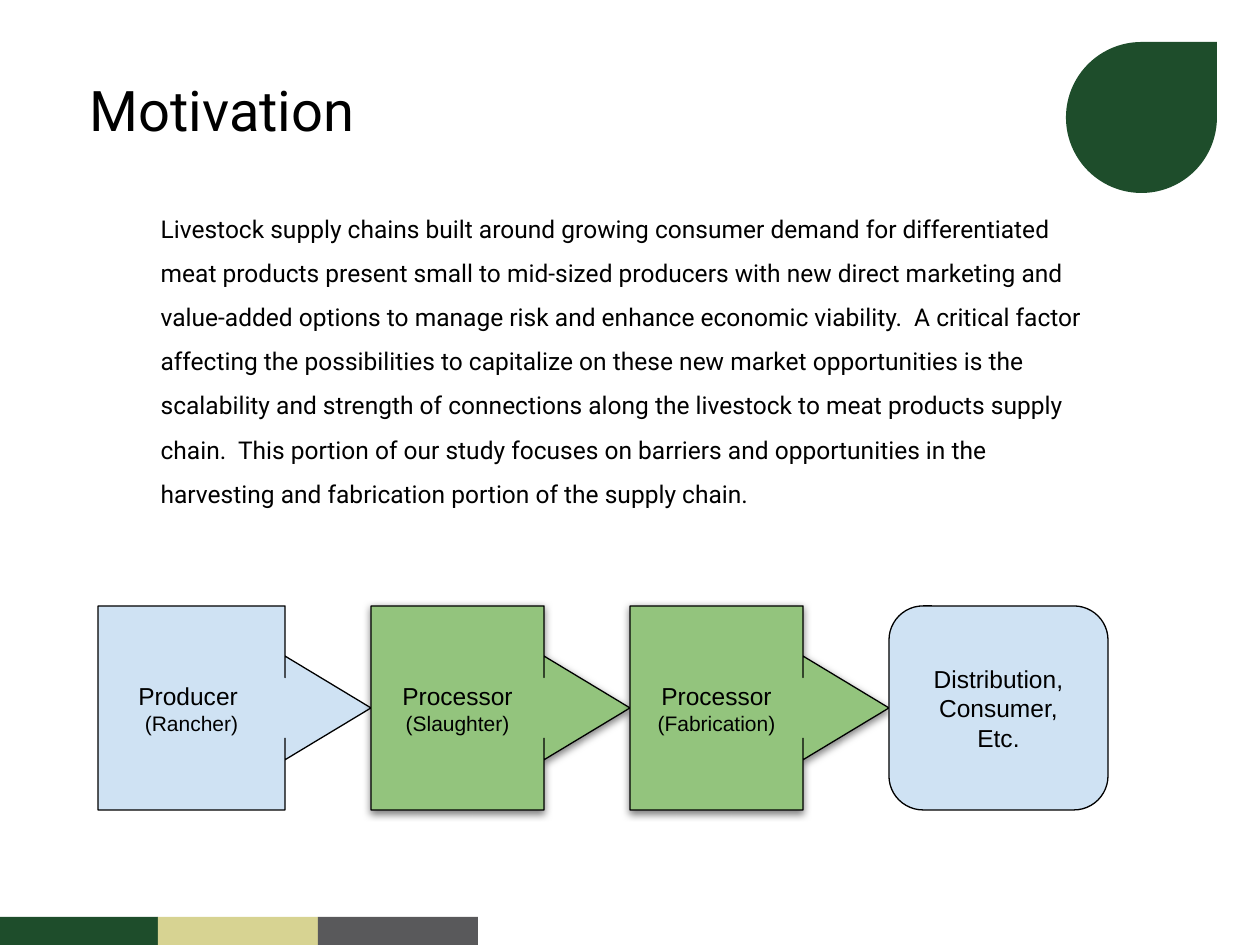
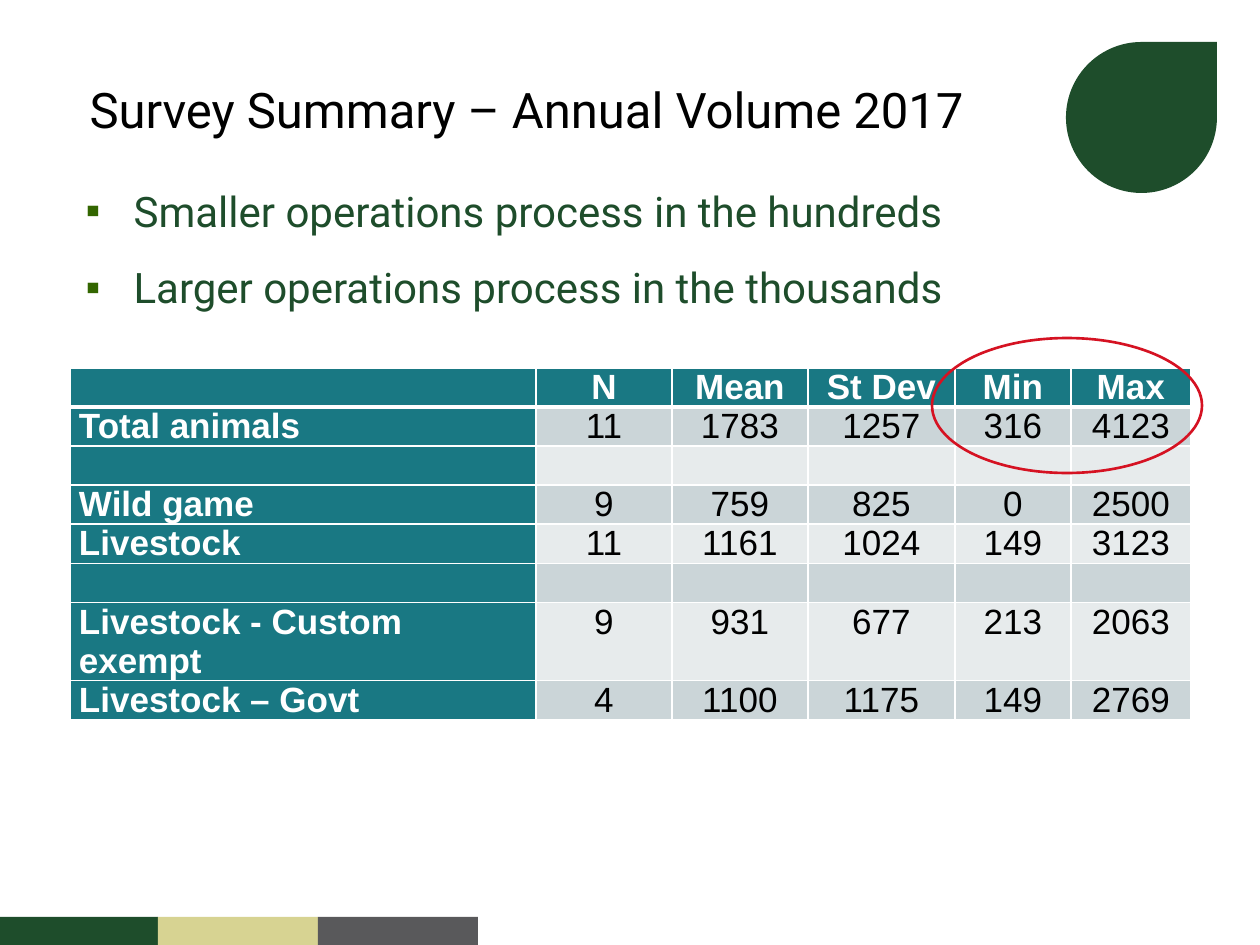
"""Builds two slides on livestock supply chains: motivation and survey volume."""
from dataclasses import dataclass
from lxml.etree import SubElement as Sub
from pptx import Presentation
from pptx.dml.color import RGBColor as RGB
from pptx.enum.shapes import MSO_SHAPE as Kind
from pptx.enum.text import MSO_ANCHOR as Anchor, MSO_AUTO_SIZE as Fit, PP_ALIGN as Align
from pptx.oxml.ns import qn
from pptx.util import Pt

PX = 7257


@dataclass(frozen=True)
class Theme:
    green: str = "1E4D2B"
    sand: str = "D7D392"
    gray: str = "59595B"
    leaf: str = "93C47D"
    sky: str = "CFE2F3"
    teal: str = "197883"
    dark: str = "CBD5D8"
    light: str = "E7EBEC"
    red: str = "D51222"
    mark: str = "336600"
    black: str = "000000"
    white: str = "FFFFFF"
    head: str = "Roboto"
    text: str = "Arial"
    big: int = 32
    title: int = 28
    list: int = 24
    cell: int = 20
    body: int = 14
    note: int = 12


T = Theme()


def write(par, text, name, size, color, bold=False, **form):
    run = par.add_run()
    run.text = text
    for key, val in {"name": name, "size": Pt(size), "bold": bold}.items():
        setattr(run.font, key, val)
    run.font.color.rgb = RGB.from_string(color)
    for key, val in form.items():
        setattr(par, key, val)


def draw(shapes, kind, box, fill=None, line=None, width=0.75):
    shape = shapes.add_shape(kind, *[n * PX for n in box])
    shape.shadow.inherit = False
    for part, color in ((shape.fill, fill), (shape.line.fill, line)):
        if color:
            part.solid()
            part.fore_color.rgb = RGB.from_string(color)
        else:
            part.background()
    if line:
        shape.line.width = Pt(width)
    return shape


deck = Presentation()
deck.slide_width, deck.slide_height = 1260 * PX, 945 * PX
layout = deck.slide_layouts[1]

pages = []
for title, size, box in (
    ("Motivation", T.big, (100, 193, 1008, 319)),
    ("Survey Summary – Annual Volume 2017", T.title, (73, 179, 1050, 483)),
):
    page = deck.slides.add_slide(layout)
    head, body = page.placeholders
    for holder, spot in ((head, (77, 34, 1055, 150)), (body, box)):
        for key, val in zip(("left", "top", "width", "height"), spot):
            setattr(holder, key, val * PX)
        holder.text_frame.auto_size = Fit.NONE
    head.text_frame.vertical_anchor = Anchor.MIDDLE
    write(head.text_frame.paragraphs[0], title, T.head, size, T.black, alignment=Align.LEFT)
    draw(page.shapes, Kind.TEAR, (1066, 42, 151, 151), T.green)
    pages.append((page.shapes, body.text_frame))

(why, story), (survey, points) = pages

for i, color in enumerate((T.green, T.sand, T.gray)):
    band = draw(why, Kind.RECTANGLE, (160 * i - 2, 917, 160, 28), color).element
    band[0][0].set("id", str(20 + i))
    deck.slide_master.shapes.element.append(band)

par = story.paragraphs[0]
write(
    par,
    "Livestock supply chains built around growing consumer demand for differentiated "
    "meat products present small to mid-sized producers with new direct marketing and "
    "value-added options to manage risk and enhance economic viability.  A critical factor "
    "affecting the possibilities to capitalize on these new market opportunities is the "
    "scalability and strength of connections along the livestock to meat products supply "
    "chain.  This portion of our study focuses on barriers and opportunities in the "
    "harvesting and fabrication portion of the supply chain.",
    T.head, T.body, T.black, line_spacing=1.5, space_before=Pt(15),
)
form = par._p.get_or_add_pPr()
form.set("marL", str(48 * PX))
form.set("indent", "0")
Sub(form, qn("a:buNone"))

chain = why.add_group_shape().shapes
left = 98
for lines, width, color in (
    (("Producer ", "(Rancher)"), 273, T.sky),
    (("Processor", "(Slaughter)"), 259, T.leaf),
    (("Processor", "(Fabrication)"), 259, T.leaf),
    (("Distribution,", "Consumer,", "Etc."), 219, T.sky),
):
    last = len(lines) == 3
    kind = Kind.ROUNDED_RECTANGLE if last else Kind.RIGHT_ARROW_CALLOUT
    step = draw(chain, kind, (left, 606, width, 204), color, T.black)
    left += width
    for i, val in enumerate((0.167,) if last else (0.298, 0.254, 0.421, 0.91)):
        step.adjustments[i] = val
    if color == T.leaf:
        glow = step.element.spPr.find(qn("a:effectLst"))
        glow = Sub(glow, qn("a:outerShdw"), blurRad=str(Pt(4.5)), dist=str(Pt(1.5)),
                   dir="5400000", algn="bl", rotWithShape="0")
        glow = Sub(glow, qn("a:srgbClr"), val=T.black)
        Sub(glow, qn("a:alpha"), val="50000")
    frame = step.text_frame
    frame.vertical_anchor = Anchor.MIDDLE
    for side in ("left", "top", "right", "bottom"):
        setattr(frame, "margin_" + side, 13 * PX)
    for i, line in enumerate(lines):
        par = frame.add_paragraph() if i else frame.paragraphs[0]
        size = T.body if last or i == 0 else T.note
        write(par, line, T.text, size, T.black, alignment=Align.CENTER)

for i, line in enumerate((
    "Smaller operations process in the hundreds",
    "Larger operations process in the thousands",
)):
    par = points.add_paragraph() if i else points.paragraphs[0]
    write(par, line, T.head, T.list, T.green, space_before=Pt(15 * i))
    form = par._p.get_or_add_pPr()
    form.set("marL", str(48 * PX))
    form.set("indent", str(-48 * PX))
    Sub(Sub(form, qn("a:buClr")), qn("a:srgbClr"), val=T.mark)
    Sub(form, qn("a:buFont"), typeface=T.text)
    Sub(form, qn("a:buChar"), char="▪")

rows = (
    ("", "N", "Mean", "St Dev", "Min", "Max"),
    ("Total animals", "11", "1783", "1257", "316", "4123"),
    ("",) * 6,
    ("Wild game", "9", "759", "825", "0", "2500"),
    ("Livestock", "11", "1161", "1024", "149", "3123"),
    ("",) * 6,
    ("Livestock - Custom exempt", "9", "931", "677", "213", "2063"),
    ("Livestock – Govt", "4", "1100", "1175", "149", "2769"),
)
cols = (466, 136, 136, 147, 116, 120)
grid = survey.add_table(
    len(rows), len(cols), 70 * PX, 368 * PX, sum(cols) * PX, 351 * PX
).table
grid.horz_banding = False
for col, width in zip(grid.columns, cols):
    col.width = width * PX
for r, row in enumerate(rows):
    grid.rows[r].height = (78 if "exempt" in row[0] else 39) * PX
    for c, text in enumerate(row):
        cell = grid.cell(r, c)
        for key, val in {"left": 9, "right": 9, "top": 0, "bottom": 0}.items():
            setattr(cell, "margin_" + key, val * PX)
        for side in "LRTB":
            thick = (r, side) in ((0, "B"), (1, "T"))
            edge = Sub(cell._tc.get_or_add_tcPr(), qn("a:ln" + side), w=str(Pt(3 if thick else 1)))
            Sub(Sub(edge, qn("a:solidFill")), qn("a:srgbClr"), val=T.white)
        label = r == 0 or c == 0
        cell.fill.solid()
        cell.fill.fore_color.rgb = RGB.from_string(
            T.teal if label else T.dark if r % 2 else T.light)
        if text:
            write(cell.text_frame.paragraphs[0], text, T.text, T.cell,
                  T.white if label else T.black, label,
                  alignment=Align.CENTER if c else Align.LEFT)

draw(survey, Kind.OVAL, (932, 338, 270, 135), line=T.red, width=1.5)

deck.save("out.pptx")
